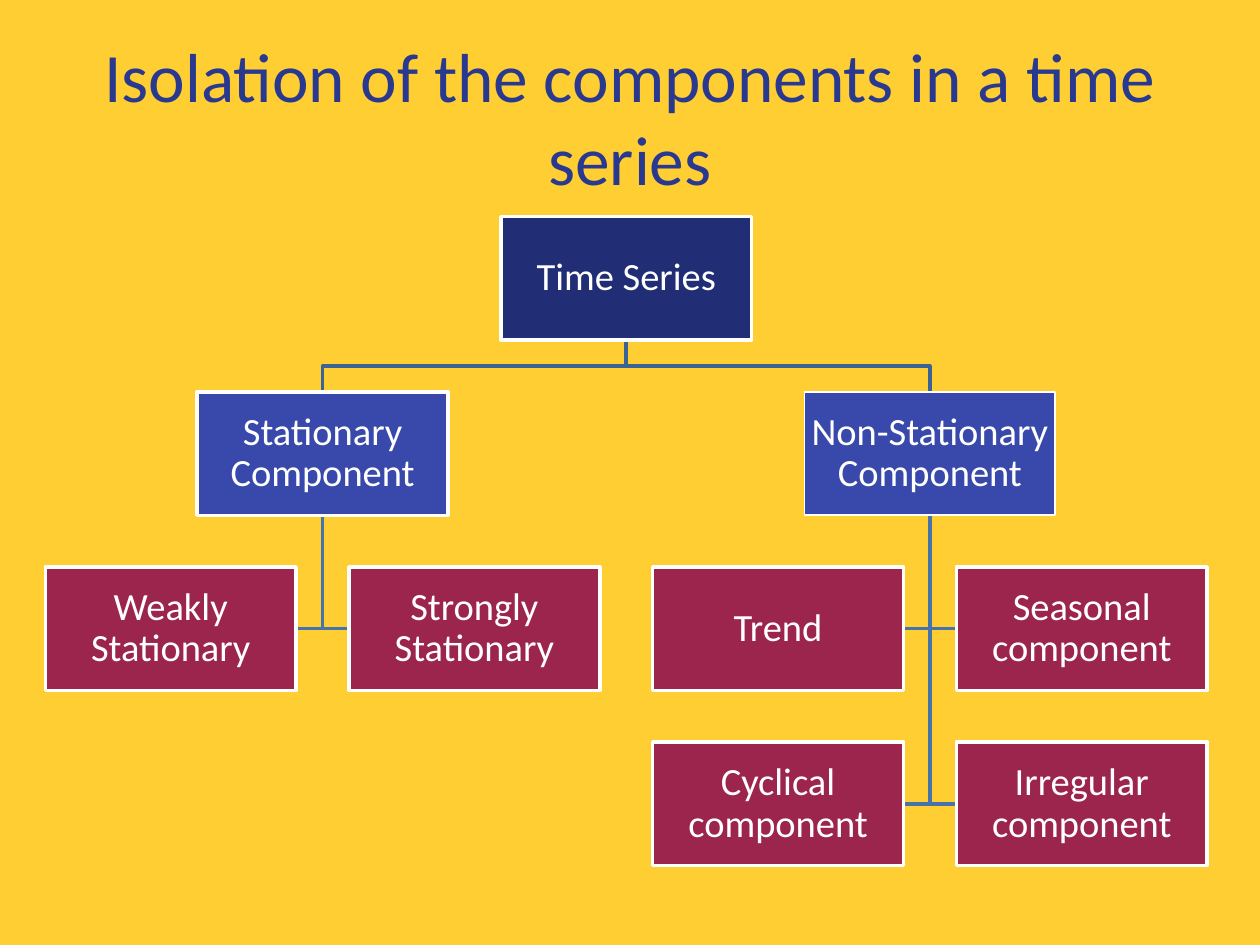
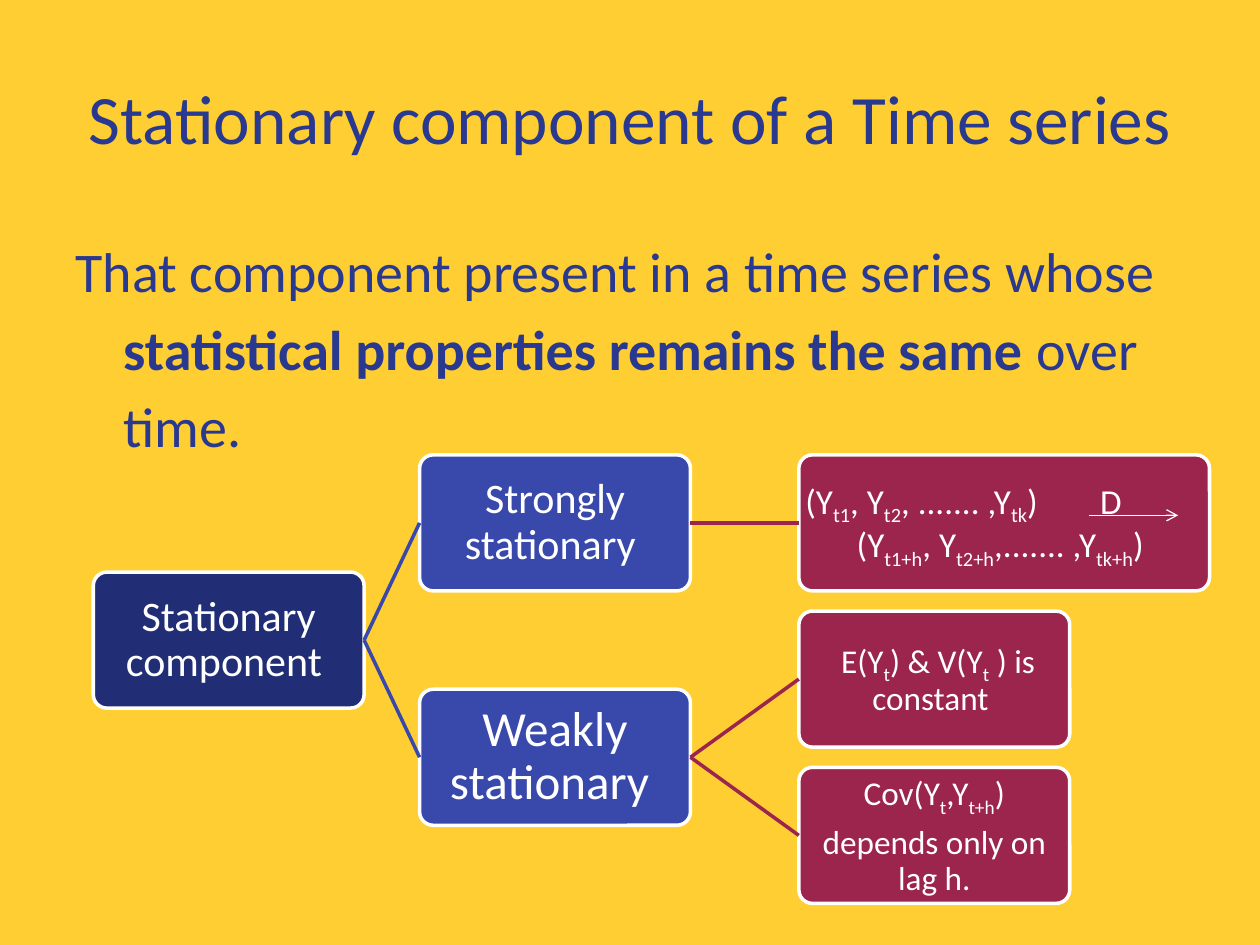
from dataclasses import dataclass

from lxml.etree import SubElement
from pptx import Presentation
from pptx.dml.color import RGBColor
from pptx.enum.shapes import MSO_CONNECTOR, MSO_SHAPE
from pptx.enum.text import MSO_ANCHOR, MSO_AUTO_SIZE, PP_ALIGN
from pptx.oxml.ns import qn
from pptx.util import Inches, Pt


@dataclass(frozen=True)
class Theme:
    font: str = "Calibri"
    back: str = "FFCE32"
    ink: str = "2A3990"
    white: str = "FFFFFF"
    root: str = "212D74"
    branch: str = "3949AB"
    leaf: str = "9C254D"
    stem: str = "3B6495"
    twig: str = "4674AA"
    title: float = 39.6
    body: float = 32
    node: float = 22
    step: float = 24
    large: float = 28
    formula: float = 20
    small: float = 19
    line: float = 2
    thin: float = 0.75


def put(item, **values):
    for name, value in values.items():
        setattr(item, name, value)


class Deck:
    def __init__(self, theme):
        self.theme = theme
        self.show = Presentation()
        put(self.show, slide_width=Inches(10), slide_height=Inches(7.5))
        self.paint(self.show.slide_master.background.fill, theme.back)
        self.slide = None

    def paint(self, fill, color):
        fill.solid()
        fill.fore_color.rgb = RGBColor.from_string(color)

    def stroke(self, line, color, width):
        self.paint(line.fill, color)
        line.width = Pt(width)

    def say(self, par, text, size, color, mark=None, **form):
        """Add text to a paragraph; every second part split by | is marked."""
        put(par, **form)
        for i, part in enumerate(text.split("|")):
            run = par.add_run()
            run.text = part
            put(run.font, name=self.theme.font, size=Pt(size))
            run.font.color.rgb = RGBColor.from_string(color)
            if i % 2 and mark == "bold":
                run.font.bold = True
            elif i % 2:
                run._r.get_or_add_rPr().set("baseline", "-25000")

    def frame(self, shape, pad_x, pad_y, anchor):
        frame = shape.text_frame
        put(frame, word_wrap=True, auto_size=MSO_AUTO_SIZE.NONE, vertical_anchor=anchor,
            margin_left=Inches(pad_x), margin_right=Inches(pad_x),
            margin_top=Inches(pad_y), margin_bottom=Inches(pad_y))
        return frame

    def page(self, title):
        self.slide = self.show.slides.add_slide(self.show.slide_layouts[5])
        head = self.slide.shapes.title
        put(head, left=Inches(0.5), top=Inches(0.3), width=Inches(9), height=Inches(1.25))
        frame = self.frame(head, 0.1, 0.05, MSO_ANCHOR.MIDDLE)
        self.say(frame.paragraphs[0], title, self.theme.title, self.theme.ink,
                 alignment=PP_ALIGN.CENTER)

    def body(self, text, x, y, w, h):
        box = self.slide.shapes.add_textbox(*map(Inches, (x, y, w, h)))
        par = self.frame(box, 0.1, 0.05, MSO_ANCHOR.TOP).paragraphs[0]
        par._p.get_or_add_pPr().set("marL", str(Inches(0.38)))
        par._p.get_or_add_pPr().set("indent", str(-Inches(0.38)))
        self.say(par, text, self.theme.body, self.theme.ink, "bold", line_spacing=1.15)

    def box(self, text, x, y, w, h, color, size, kind=MSO_SHAPE.RECTANGLE, edge=None):
        shape = self.slide.shapes.add_shape(kind, *map(Inches, (x, y, w, h)))
        shape.shadow.inherit = False
        if kind == MSO_SHAPE.ROUNDED_RECTANGLE:
            shape.adjustments[0] = 0.1
        self.paint(shape.fill, color)
        self.stroke(shape.line, self.theme.white, edge or self.theme.line)
        frame = self.frame(shape, 0.02, 0.02, MSO_ANCHOR.MIDDLE)
        for i, line in enumerate(text.split("\n")):
            par = frame.add_paragraph() if i else frame.paragraphs[0]
            self.say(par, line, size, self.theme.white, alignment=PP_ALIGN.CENTER,
                     line_spacing=0.9, space_before=Pt(0.35 * size if i else 0))
        return shape

    def wire(self, points, color):
        spots = [(Inches(x), Inches(y)) for x, y in points]
        pen = self.slide.shapes.build_freeform(*spots[0])
        pen.add_line_segments(spots[1:], close=False)
        shape = pen.convert_to_shape()
        shape.shadow.inherit = False
        shape.fill.background()
        self.stroke(shape.line, color, self.theme.line)

    def line(self, x1, y1, x2, y2, color, width):
        link = self.slide.shapes.add_connector(
            MSO_CONNECTOR.STRAIGHT, *map(Inches, (x1, y1, x2, y2)))
        self.stroke(link.line, color, width)
        SubElement(link._element.spPr, qn("a:effectLst"))
        return link

    def join(self, start, end, color):
        link = self.line(0, 0, 1, 1, color, self.theme.line)
        link.begin_connect(start, 3)
        link.end_connect(end, 1)

    def arrow(self, x1, y1, x2, y2):
        link = self.line(x1, y1, x2, y2, self.theme.white, self.theme.thin)
        SubElement(link.line._get_or_add_ln(), qn("a:tailEnd"), type="arrow")


def parts(deck):
    theme = deck.theme
    deck.page("Isolation of the components in a time series")
    wide, high = 1.99, 0.98

    def spot(col, row):
        return 0.36 + 2.41 * col, 1.72 + 1.39 * row

    # Each node: text, column, row, colour, parent
    nodes = [
        ("Time Series", 1.5, 0, theme.root, None),
        ("Stationary Component", 0.5, 1, theme.branch, 0),
        ("Non-Stationary Component", 2.5, 1, theme.branch, 0),
        ("Weakly Stationary", 0, 2, theme.leaf, 1),
        ("Strongly Stationary", 1, 2, theme.leaf, 1),
        ("Trend", 2, 2, theme.leaf, 2),
        ("Seasonal component", 3, 2, theme.leaf, 2),
        ("Cyclical component", 2, 3, theme.leaf, 2),
        ("Irregular component", 3, 3, theme.leaf, 2),
    ]

    # Wires lie behind the boxes
    for _, col, row, _, up in nodes[1:]:
        x, y = spot(col, row)
        px, py = spot(*nodes[up][1:3])
        mid, foot = px + wide / 2, py + high
        if up == 0:
            bend, color = (foot + y) / 2, theme.stem
            ends = [(mid, bend), (x + wide / 2, bend), (x + wide / 2, y)]
        else:
            side, color = (x if x > px else x + wide), theme.twig
            ends = [(mid, y + high / 2), (side, y + high / 2)]
        deck.wire([(mid, foot), *ends], color)

    for text, col, row, color, _ in nodes:
        edge = 1 if text.startswith("Non") else None
        deck.box(text, *spot(col, row), wide, high, color, theme.node, edge=edge)


def steady(deck):
    theme = deck.theme
    deck.page("Stationary component of a Time series")
    deck.body("That component present in a time series whose "
              "|statistical properties remains the same |over time.", 0.5, 1.75, 9, 5.75)

    def node(text, col, y, color, size, wide=2.15):
        return deck.box(text, (0.74, 3.33, 6.34)[col], y, wide, 1.08, color, size,
                        MSO_SHAPE.ROUNDED_RECTANGLE)

    # Boxes
    root = node("Stationary component ", 0, 4.54, theme.root, theme.step)
    strong = node("Strongly stationary ", 1, 3.61, theme.branch, theme.step)
    weak = node("Weakly stationary ", 1, 5.47, theme.branch, theme.large)
    law = node("(Y|t1|, Y|t2|, ....... ,Y|tk|)\tD\n(Y|t1+h|, Y|t2+h|,....... ,Y|tk+h|) ",
               2, 3.61, theme.leaf, theme.formula, 3.26)
    mean = node(" E(Y|t|) & V(Y|t| ) is constant ", 2, 4.85, theme.leaf, theme.small)
    lag = node("Cov(Y|t|,Y|t+h|)\ndepends only on lag h.", 2, 6.09, theme.leaf, theme.small)

    # The formula: a tab stop sets D above its arrow
    first, second = law.text_frame.paragraphs
    first.alignment = PP_ALIGN.LEFT
    second.space_before = Pt(0)
    tabs = SubElement(first._p.get_or_add_pPr(), qn("a:tabLst"))
    SubElement(tabs, qn("a:tab"), pos=str(Inches(2.34)), algn="l")
    deck.arrow(8.64, 4.09, 9.35, 4.09)

    # Links
    for start, end, color in [(root, strong, theme.branch), (root, weak, theme.branch),
                              (strong, law, theme.leaf), (weak, mean, theme.leaf),
                              (weak, lag, theme.leaf)]:
        deck.join(start, end, color)


def main():
    deck = Deck(Theme())
    parts(deck)
    steady(deck)
    deck.show.save("out.pptx")


if __name__ == "__main__":
    main()
